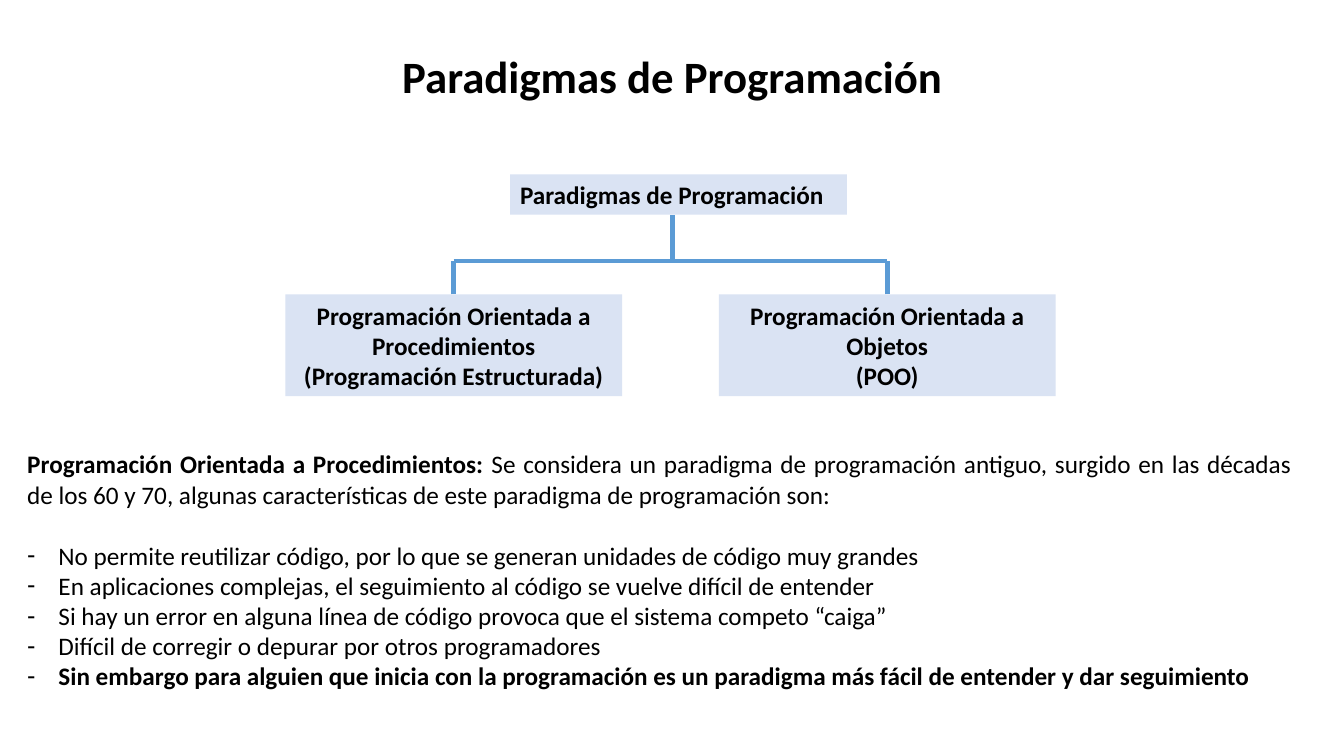
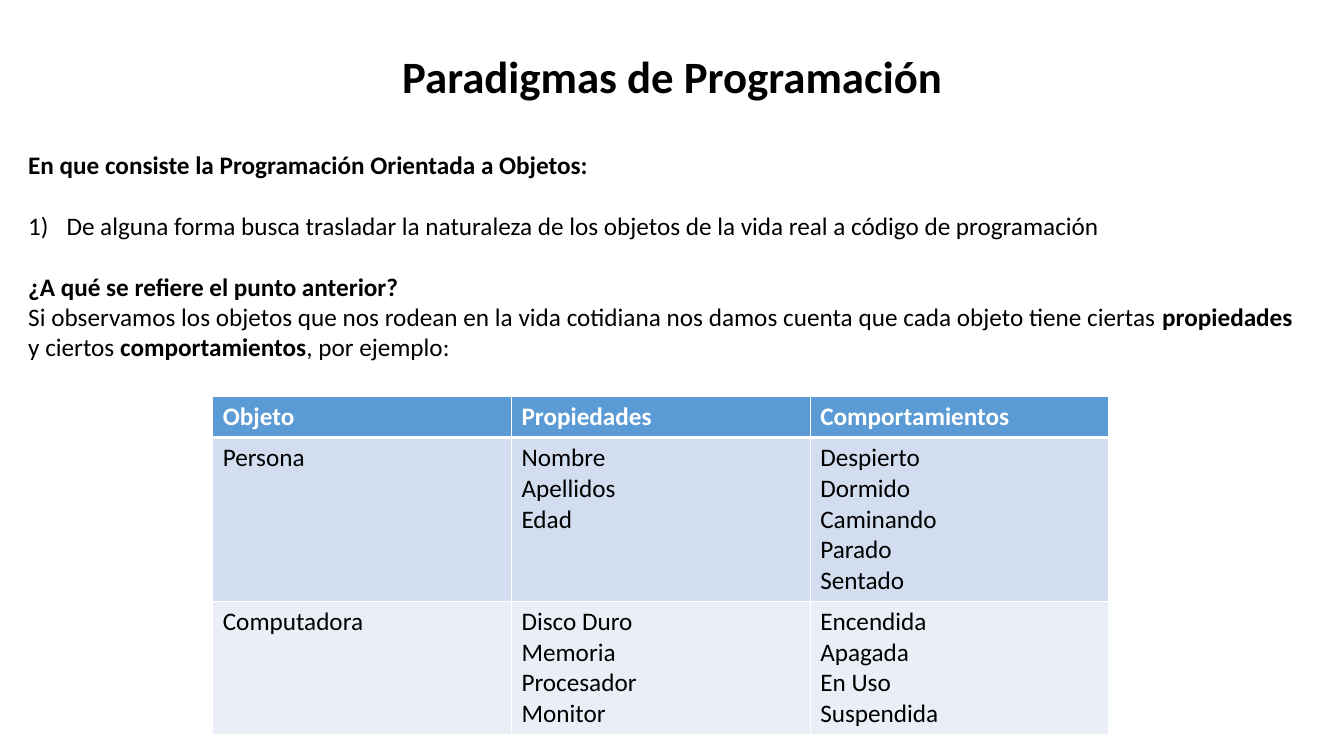
from lxml.etree import SubElement as Sub
from pptx import Presentation as Deck
from pptx.dml.color import RGBColor as Rgb
from pptx.enum.shapes import MSO_CONNECTOR as Link, MSO_SHAPE as Form
from pptx.enum.text import MSO_ANCHOR as Anchor, MSO_AUTO_SIZE as Fit, PP_ALIGN as Align
from pptx.oxml.ns import qn
from pptx.util import Inches, Pt

FONT = "Calibri"
BLACK, WHITE, BLUE = "000000", "FFFFFF", "5B9BD5"
PALE, BAND, LIGHT = "DAE3F3", "D2DEEF", "EAEFF7"
HEAD = "Paradigmas de Programación"
DASH = ("buChar", {"char": "-"}, 0.31)
COUNT = ("buAutoNum", {"type": "arabicParenR"}, 0.38)


def tint(code):
    return Rgb.from_string(code)


class Show:
    """Holds the deck style and draws on the current slide."""

    def __init__(self):
        self.deck = Deck()
        self.deck.slide_width = Inches(13.33)
        self.deck.slide_height = Inches(7.5)

    def page(self, head):
        layout = self.deck.slide_layouts[1]
        self.slide = self.deck.slides.add_slide(layout)
        self.shapes = self.slide.shapes
        title = self.shapes.title
        self.place(title, 0.92, 0.4, 11.5, 0.77)
        frame = title.text_frame
        frame.auto_size = Fit.NONE
        frame.vertical_anchor = Anchor.MIDDLE
        par = frame.paragraphs[0]
        par.line_spacing = 0.9
        self.words(par, [(head, True)], Align.CENTER, size=32)

    def place(self, shape, *spot):
        shape.left, shape.top, shape.width, shape.height = map(Inches, spot)

    def words(self, par, runs, align=Align.LEFT, color=BLACK, size=18):
        par.alignment = align
        for text, bold in runs:
            run = par.add_run()
            run.text = text
            font = run.font
            font.name, font.size, font.bold = FONT, Pt(size), bold
            font.color.rgb = tint(color)

    def lines(self, frame, rows, **style):
        for i, runs in enumerate(rows):
            par = frame.add_paragraph() if i else frame.paragraphs[0]
            self.words(par, runs, **style)

    def bullet(self, par, mark):
        prop = par._p.get_or_add_pPr()
        kind, attrs, dent = mark or ("buNone", {}, 0)
        prop.set("marL", str(Inches(dent)))
        prop.set("indent", str(Inches(-dent)))
        if mark:
            Sub(prop, qn("a:buFontTx"))
        Sub(prop, qn("a:" + kind), attrs)

    def body(self, spot, items):
        hold = self.slide.placeholders[1]
        self.place(hold, *spot)
        frame = hold.text_frame
        frame.auto_size = Fit.NONE
        frame.vertical_anchor = Anchor.TOP
        self.lines(frame, [runs for runs, _, _ in items], align=Align.JUSTIFY)
        for par, (_, mark, gap) in zip(frame.paragraphs, items):
            par.space_before = Pt(gap)
            self.bullet(par, mark)

    def box(self, spot, rows, align=Align.CENTER):
        box = self.shapes.add_shape(Form.RECTANGLE, *map(Inches, spot))
        box.shadow.inherit = False
        box.fill.solid()
        box.fill.fore_color.rgb = tint(PALE)
        box.line.fill.background()
        box.text_frame.word_wrap = True
        self.lines(box.text_frame, [[(row, True)] for row in rows], align=align)

    def link(self, *ends):
        link = self.shapes.add_connector(Link.STRAIGHT, *map(Inches, ends))
        link.line.color.rgb = tint(BLUE)
        link.line.width = Pt(3.5)
        Sub(link._element.spPr, qn("a:effectLst"))

    def edge(self, cell, side, width):
        prop = cell._tc.get_or_add_tcPr()
        line = Sub(prop, qn("a:ln" + side), w=str(Pt(width)))
        Sub(Sub(line, qn("a:solidFill")), qn("a:srgbClr"), val=WHITE)

    def table(self, spot, highs, fills, data):
        frame = self.shapes.add_table(len(data), len(data[0]), *map(Inches, spot))
        grid = frame.table
        for r, row in enumerate(data):
            grid.rows[r].height = Inches(highs[r])
            top = r == 0
            for c, texts in enumerate(row):
                cell = grid.cell(r, c)
                for side in "LRTB":
                    thick = (top and side == "B") or (r == 1 and side == "T")
                    self.edge(cell, side, 3 if thick else 1)
                cell.fill.solid()
                cell.fill.fore_color.rgb = tint(fills[r])
                rows = [[(text, top)] for text in texts]
                self.lines(cell.text_frame, rows, color=WHITE if top else BLACK)


def tree(show):
    wide, high, top, bus = 3.34, 1.01, 2.92, 2.59
    show.box((5.06, 1.73, wide, 0.4), [HEAD], Align.LEFT)
    kids = [
        (2.83, ["Programación Orientada a Procedimientos (Programación Estructurada)"]),
        (7.13, ["Programación Orientada a Objetos", "(POO)"]),
    ]
    mids = [left + wide / 2 for left, _ in kids]
    for (left, rows), mid in zip(kids, mids):
        show.box((left, top, wide, high), rows)
        show.link(mid, top, mid, bus)
    show.link(mids[0], bus, mids[1], bus)
    show.link(6.67, bus, 6.67, 2.13)


def main():
    show = Show()
    show.page(HEAD)
    tree(show)
    intro = [
        ("Programación Orientada a Procedimientos: ", True),
        ("Se considera un paradigma de programación antiguo, surgido en las "
         "décadas de los 60 y 70, algunas características de este paradigma "
         "de programación son:", False),
    ]
    traits = [
        "No permite reutilizar código, por lo que se generan unidades de código muy grandes",
        "En aplicaciones complejas, el seguimiento al código se vuelve difícil de entender",
        "Si hay un error en alguna línea de código provoca que el sistema competo “caiga”",
        "Difícil de corregir o depurar por otros programadores",
        "Sin embargo para alguien que inicia con la programación es un paradigma "
        "más fácil de entender y dar seguimiento",
    ]
    last = len(traits) - 1
    items = [([(text, i == last)], DASH, 0 if i else 22) for i, text in enumerate(traits)]
    show.body((0.17, 4.4, 12.74, 2.52), [(intro, None, 0)] + items)

    show.page(HEAD)
    show.body((0.18, 1.43, 12.74, 2.22), [
        ([("En que consiste la Programación Orientada a Objetos:", True)], None, 0),
        ([("De alguna forma busca trasladar la naturaleza de los objetos de la "
           "vida real a código de programación", False)], COUNT, 22),
        ([("¿A qué se refiere el punto anterior?", True)], None, 22),
        ([("Si observamos los objetos que nos rodean en la vida cotidiana nos "
           "damos cuenta que cada objeto tiene ciertas ", False),
          ("propiedades ", True), ("y ciertos ", False),
          ("comportamientos", True), (", por ejemplo:", False)], None, 0),
    ])
    show.table((2.11, 3.93, 8.89, 3.31), (0.41, 1.6, 1.3), (BLUE, BAND, LIGHT), [
        (["Objeto"], ["Propiedades"], ["Comportamientos"]),
        (["Persona"], ["Nombre", "Apellidos", "Edad"],
         ["Despierto", "Dormido", "Caminando", "Parado", "Sentado"]),
        (["Computadora"], ["Disco Duro", "Memoria", "Procesador", "Monitor"],
         ["Encendida", "Apagada", "En Uso", "Suspendida"]),
    ])
    show.deck.save("out.pptx")


if __name__ == "__main__":
    main()
